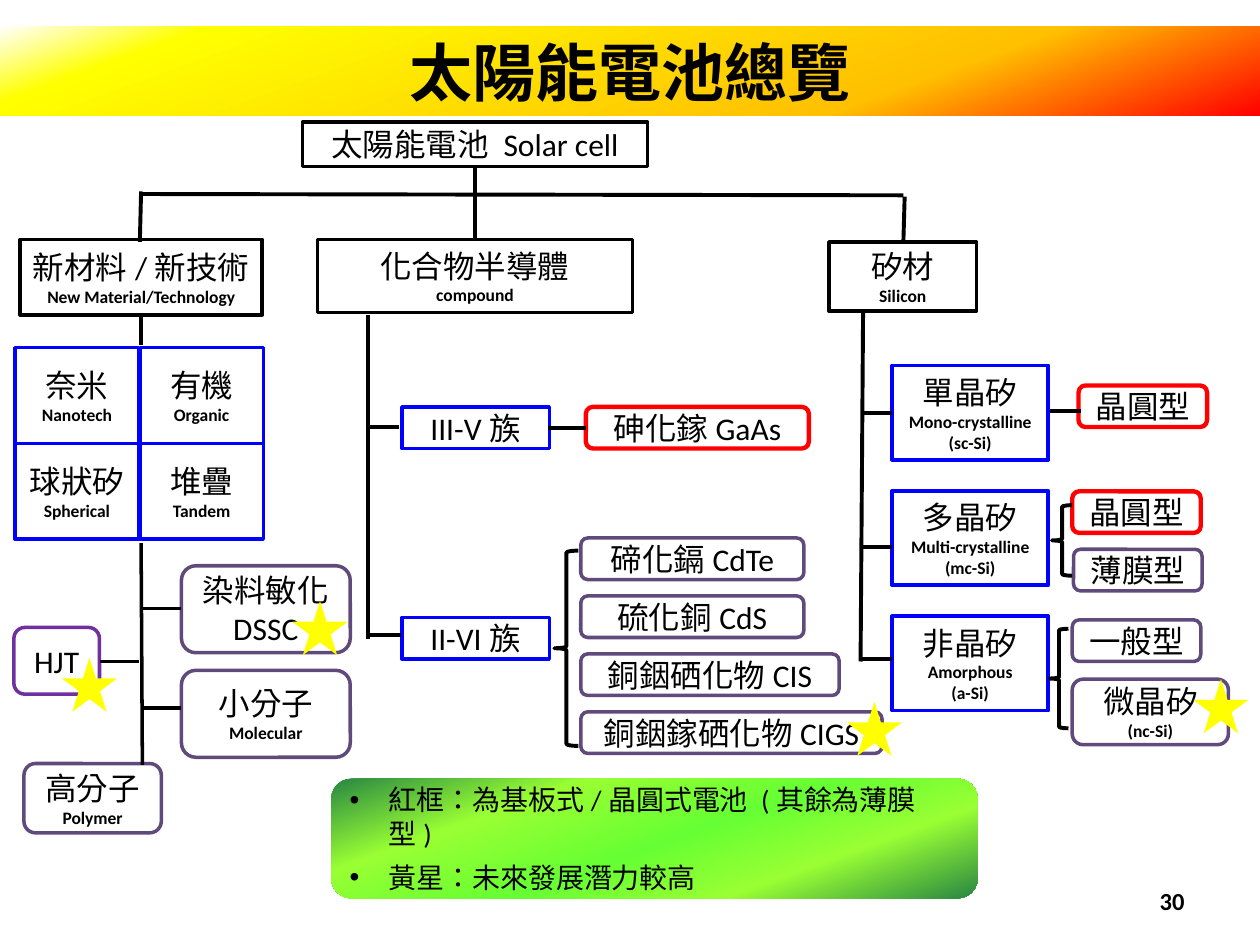
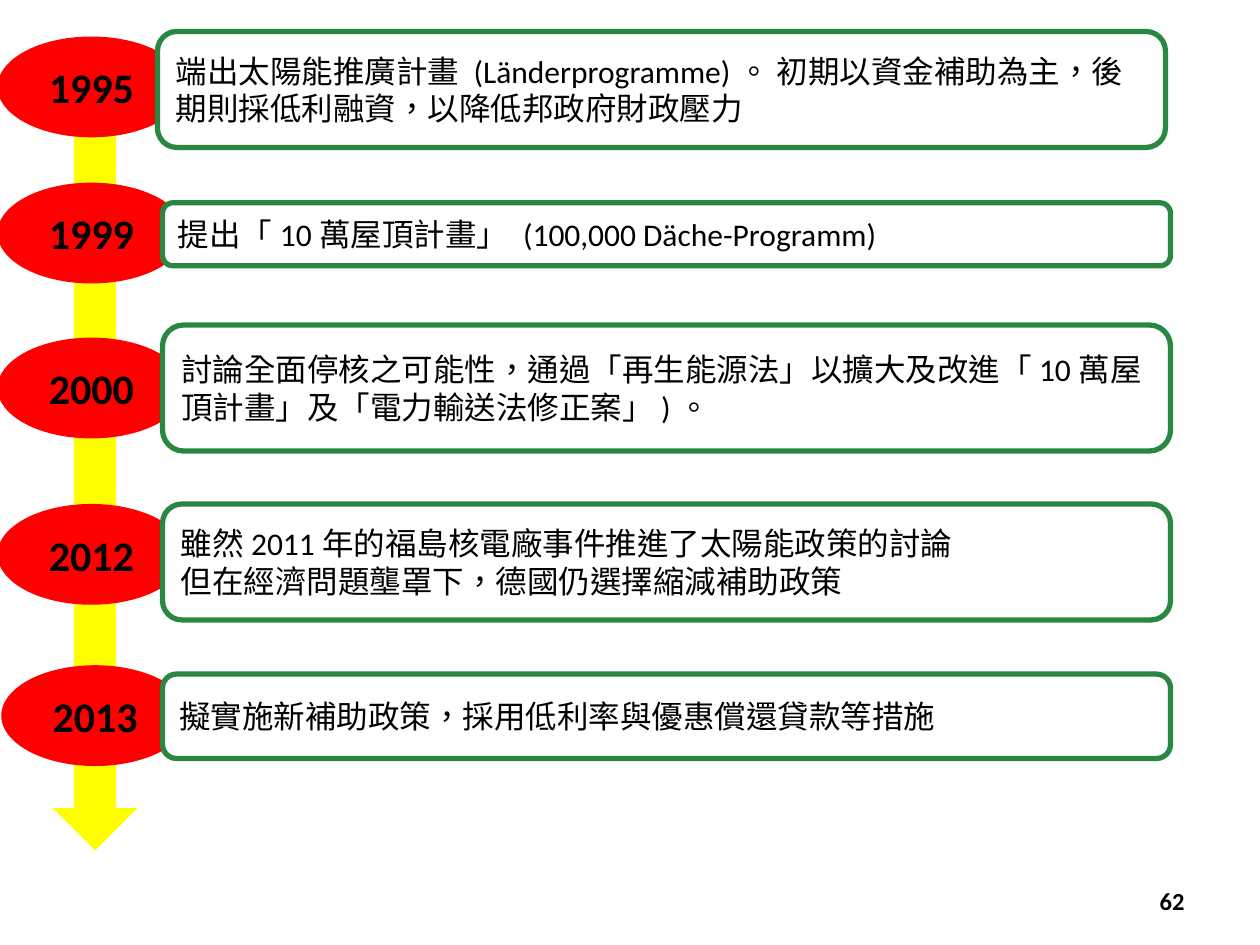
import itertools

import pptx
import pptx.dml.color
import pptx.enum.shapes
import pptx.enum.text
import pptx.oxml
import pptx.oxml.ns
import pptx.util

COLORS = {
    "black": "000000", "white": "FFFFFF", "red": "FF0000", "blue": "0000FF",
    "purple": "604A7B", "violet": "7030A0", "yellow": "FFFF00", "amber": "FFC000",
    "green": "298742", "lime": "99FF33", "bright green": "66FF33",
}
LATIN_FONT = "Calibri"
CHINESE_FONT = "Noto Sans CJK SC"
TITLE_GRADIENT = [(0, "white"), (14, "yellow"), (71, "amber"), (100, "red")]
LEGEND_GRADIENT = [(0, "green"), (26, "lime"), (52, "bright green"), (74, "lime"), (100, "green")]

# The slide is a grid of 100 columns and 75 rows
SLIDE_WIDTH = pptx.util.Inches(10)
SLIDE_HEIGHT = pptx.util.Inches(7.5)
COLUMN = SLIDE_WIDTH / 100
ROW = SLIDE_HEIGHT / 75

SHAPES = pptx.enum.shapes.MSO_SHAPE
ALIGN = pptx.enum.text.PP_ALIGN


def place(left, top, width, height):
    return round(left * COLUMN), round(top * ROW), round(width * COLUMN), round(height * ROW)


def rgb(color):
    return pptx.dml.color.RGBColor.from_string(COLORS[color])


def is_chinese(character):
    return ord(character) > 0x2E80


# Text
def add_text(paragraph, text, size, bold=False, align=None):
    """Add one run for each stretch of Chinese or Latin script."""
    paragraph.alignment = align
    for chinese, characters in itertools.groupby(text, is_chinese):
        run = paragraph.add_run()
        run.text = "".join(characters)
        run.font.name = CHINESE_FONT if chinese else LATIN_FONT
        run.font.size = pptx.util.Pt(size)
        run.font.bold = bold
        run.font.color.rgb = rgb("black")
        run.font._element.set("lang", "zh-TW")
        east_asian = pptx.oxml.parse_xml(
            f'<a:ea {pptx.oxml.ns.nsdecls("a")} typeface="{CHINESE_FONT}"/>')
        run.font._element.find(pptx.oxml.ns.qn("a:latin")).addnext(east_asian)


def prepare_frame(shape, margin=None):
    frame = shape.text_frame
    frame.word_wrap = True
    frame.auto_size = pptx.enum.text.MSO_AUTO_SIZE.NONE
    frame.vertical_anchor = pptx.enum.text.MSO_ANCHOR.MIDDLE
    if margin is not None:
        frame.margin_left = frame.margin_right = pptx.util.Inches(margin)
        frame.margin_top = frame.margin_bottom = 0
    return frame


def add_lines(frame, lines, align):
    """Fill the frame with (text, size, bold) lines, one paragraph each."""
    for index, (text, size, bold) in enumerate(lines):
        paragraph = frame.add_paragraph() if index else frame.paragraphs[0]
        add_text(paragraph, text, size, bold, align)


def add_page_number(slide, number):
    box = slide.shapes.add_textbox(*place(71.7, 69.5, 23.3, 4))
    add_lines(prepare_frame(box), [(number, 14, True)], ALIGN.RIGHT)


# Shapes
def add_plain_shape(slide, kind, area, fill=None, line=None, weight=2):
    shape = slide.shapes.add_shape(kind, *place(*area))
    shape.shadow.inherit = False
    if fill:
        shape.fill.solid()
        shape.fill.fore_color.rgb = rgb(fill)
    else:
        shape.fill.background()
    if line:
        shape.line.color.rgb = rgb(line)
        shape.line.width = pptx.util.Pt(weight)
    else:
        shape.line.fill.background()
    return shape


def add_node(slide, area, heading, caption="", line="black", rounded=False):
    kind = SHAPES.ROUNDED_RECTANGLE if rounded else SHAPES.RECTANGLE
    shape = add_plain_shape(slide, kind, area, line=line, weight=2.5 if line == "red" else 2)
    lines = [(text, 18, False) for text in heading.split("\n")]
    lines += [(text, 10, True) for text in caption.split("\n") if text]
    add_lines(prepare_frame(shape, 0.04), lines, ALIGN.CENTER)


def add_line(slide, start, end, weight):
    left, top, right, bottom = place(*start, *end)
    connector = slide.shapes.add_connector(
        pptx.enum.shapes.MSO_CONNECTOR.STRAIGHT, left, top, right, bottom)
    connector.line.color.rgb = rgb("black")
    connector.line.width = pptx.util.Pt(weight)
    connector._element.spPr.append(
        pptx.oxml.parse_xml(f'<a:effectLst {pptx.oxml.ns.nsdecls("a")}/>'))


# Placeholders
def move_placeholder(shape, area, geometry, gradient):
    shape.left, shape.top, shape.width, shape.height = place(*area)
    namespace = pptx.oxml.ns.nsdecls("a")
    stops = "".join(
        f'<a:gs pos="{share * 1000}"><a:srgbClr val="{COLORS[color]}"/></a:gs>'
        for share, color in gradient)
    for xml in (
        f'<a:prstGeom {namespace} prst="{geometry}"><a:avLst/></a:prstGeom>',
        f'<a:gradFill {namespace} rotWithShape="1"><a:gsLst>{stops}</a:gsLst>'
        f'<a:lin ang="{70 * 60000}" scaled="0"/></a:gradFill>',
    ):
        shape._element.spPr.append(pptx.oxml.parse_xml(xml))
    return prepare_frame(shape)


def add_legend(shape, area, items):
    frame = move_placeholder(shape, area, "roundRect", LEGEND_GRADIENT)
    frame.margin_right = pptx.util.Inches(0.3)
    for index, item in enumerate(items):
        paragraph = frame.add_paragraph() if index else frame.paragraphs[0]
        properties = paragraph._p.get_or_add_pPr()
        indent = pptx.util.Inches(0.31)
        properties.set("marL", str(indent))
        properties.set("indent", str(-indent))
        properties.append(pptx.oxml.parse_xml(
            f'<a:buChar {pptx.oxml.ns.nsdecls("a")} char="•"/>'))
        paragraph.space_before = pptx.util.Pt(0)
        paragraph.space_after = pptx.util.Pt(0 if index else 6)
        add_text(paragraph, item, 16)


# Parts of the overview
def add_new_materials(slide):
    add_node(slide, (1.6, 19, 19.2, 6), "新材料/新技術", "New Material/Technology")
    technologies = [("奈米", "Nanotech"), ("有機", "Organic"),
                    ("球狀矽", "Spherical"), ("堆疊", "Tandem")]
    for index, (heading, caption) in enumerate(technologies):
        row, column = divmod(index, 2)
        area = (1.2 + 9.9 * column, 27.6 + 7.6 * row, 9.8, 7.6)
        add_node(slide, area, heading, caption, "blue")
    add_node(slide, (1.1, 49.8, 6.8, 5.3), "HJT", line="violet", rounded=True)
    for area, heading, caption in [
        ((14.4, 44.9, 13.4, 6.9), "染料敏化\nDSSC", ""),
        ((14.4, 53.2, 13.4, 6.9), "小分子", "Molecular"),
        ((1.9, 60.6, 10.9, 5.5), "高分子", "Polymer"),
    ]:
        add_node(slide, area, heading, caption, "purple", True)


def add_compounds(slide):
    add_node(slide, (25.2, 19, 25, 5.8), "化合物半導體", "compound")
    for top, group in [(32.3, "III-V族"), (49, "II-VI族")]:
        add_node(slide, (31.9, top, 11.7, 3.3), group, line="blue")
    add_node(slide, (46.5, 32.3, 17.7, 3.3), "砷化鎵GaAs", line="red", rounded=True)
    compounds = [("碲化鎘CdTe", 17.7), ("硫化銅CdS", 17.7),
                 ("銅銦硒化物CIS", 20.5), ("銅銦鎵硒化物CIGS", 23.9)]
    for index, (compound, width) in enumerate(compounds):
        area = (46.1, 42.7 + 4.6 * index, width, 3.3)
        add_node(slide, area, compound, line="purple", rounded=True)


def add_silicon(slide):
    add_node(slide, (65.8, 19.2, 11.7, 5.5), "矽材", "Silicon")
    crystals = [("單晶矽", "Mono-crystalline\n(sc-Si)"),
                ("多晶矽", "Multi-crystalline\n(mc-Si)"),
                ("非晶矽", "Amorphous\n(a-Si)")]
    for index, (heading, caption) in enumerate(crystals):
        add_node(slide, (70.8, 29 + 9.95 * index, 12.4, 7.5), heading, caption, "blue")
    for left, top, heading, line in [
        (85.6, 30.6, "晶圓型", "red"),
        (85.1, 39, "晶圓型", "red"),
        (85.2, 43.6, "薄膜型", "purple"),
        (85.1, 49.2, "一般型", "purple"),
    ]:
        add_node(slide, (left, top, 10.2, 3.3), heading, line=line, rounded=True)
    add_node(slide, (85.1, 53.9, 12.4, 5.2), "微晶矽", "(nc-Si)", "purple", True)


def add_branches(slide):
    branches = {
        2.25: [
            # From the root to the three families
            ((11.3, 15.4), (71.7, 15.5)), ((71.8, 15.6), (71.7, 19.2)),
            ((11.2, 15.2), (11.1, 19.2)), ((11.2, 24.9), (11.2, 27.4)),
            # Compounds
            ((29.2, 25), (29.2, 50.7)), ((29.2, 33.9), (31.7, 33.9)),
            ((29.2, 50.4), (31.8, 50.4)), ((43.5, 34), (46.5, 34)),
            # Silicon
            ((68.5, 24.6), (68.3, 52.5)), ((83.3, 32.6), (85.8, 32.6)),
            *[((68.3, top), (70.8, top)) for top in (32.8, 43.4, 52.3)],
        ],
        2: [
            ((37.7, 19), (37.7, 13.3)),
            # New materials
            ((11.2, 43.1), (11.3, 60.7)), ((7.9, 52.5), (11, 52.5)),
            *[((11.3, top), (14.4, top)) for top in (48.3, 56.2)],
        ],
    }
    for weight, lines in branches.items():
        for start, end in lines:
            add_line(slide, start, end, weight)
    for area in [(83.5, 40.1, 1.6, 5.6), (44, 43.7, 1.9, 15.5), (83.3, 49.9, 1.5, 7.9)]:
        add_plain_shape(slide, SHAPES.LEFT_BRACE, area, line="black", weight=2.25)


def build_overview(presentation):
    slide = presentation.slides.add_slide(presentation.slide_layouts[1])
    title, body = slide.placeholders
    frame = move_placeholder(title, (0, 2.1, 100, 7.1), "rect", TITLE_GRADIENT)
    add_lines(frame, [("太陽能電池總覽", 36, True)], ALIGN.CENTER)
    add_node(slide, (24, 9.7, 27.4, 3.5), "太陽能電池 Solar cell")
    add_new_materials(slide)
    add_compounds(slide)
    add_silicon(slide)
    add_branches(slide)
    for left, top in [(94.7, 53.9), (67.2, 55.7), (23.2, 47.7), (4.9, 52.2)]:
        add_plain_shape(slide, SHAPES.STAR_5_POINT, (left, top, 4.4, 4.3), "yellow")
    add_legend(body, (26.3, 61.8, 51.3, 9.5),
               ["紅框：為基板式/晶圓式電池 (其餘為薄膜型)", "黃星：未來發展潛力較高"])
    add_page_number(slide, "30")


def build_timeline(presentation):
    slide = presentation.slides.add_slide(presentation.slide_layouts[6])
    add_plain_shape(slide, SHAPES.DOWN_ARROW, (4.2, 4.2, 6.7, 63.3), "yellow")
    # Year, its left and top, then the left, top and height of its event
    events = [
        ("1995", -0.2, 2.9, 12.5, 2.5, 9.2,
         "端出太陽能推廣計畫 (Länderprogramme)。 初期以資金補助為主，後期則採低利融資，以降低邦政府財政壓力"),
        ("1999", -0.2, 14.5, 12.9, 16.1, 5,
         "提出「10萬屋頂計畫」 (100,000 Däche-Programm)"),
        ("2000", -0.2, 26.8, 12.9, 25.8, 10,
         "討論全面停核之可能性，通過「再生能源法」以擴大及改進「10萬屋頂計畫」及「電力輸送法修正案」)。"),
        ("2012", -0.2, 40, 12.9, 40, 9.2,
         "雖然2011年的福島核電廠事件推進了太陽能政策的討論\n但在經濟問題壟罩下，德國仍選擇縮減補助政策"),
        ("2013", 0.1, 52.8, 12.9, 53.5, 6.7,
         "擬實施新補助政策，採用低利率與優惠償還貸款等措施"),
    ]
    for year, year_left, year_top, left, top, height, event in events:
        oval = add_plain_shape(slide, SHAPES.OVAL, (year_left, year_top, 14.9, 8), "red")
        add_lines(prepare_frame(oval), [(year, 24, True)], ALIGN.CENTER)
        box = add_plain_shape(slide, SHAPES.ROUNDED_RECTANGLE, (left, top, 80, height),
                              "white", "green", 3)
        lines = [(text, 18, False) for text in event.split("\n")]
        add_lines(prepare_frame(box), lines, ALIGN.LEFT)
    add_page_number(slide, "62")


def main():
    presentation = pptx.Presentation()
    presentation.slide_width = SLIDE_WIDTH
    presentation.slide_height = SLIDE_HEIGHT
    build_overview(presentation)
    build_timeline(presentation)
    presentation.save("out.pptx")


if __name__ == "__main__":
    main()
